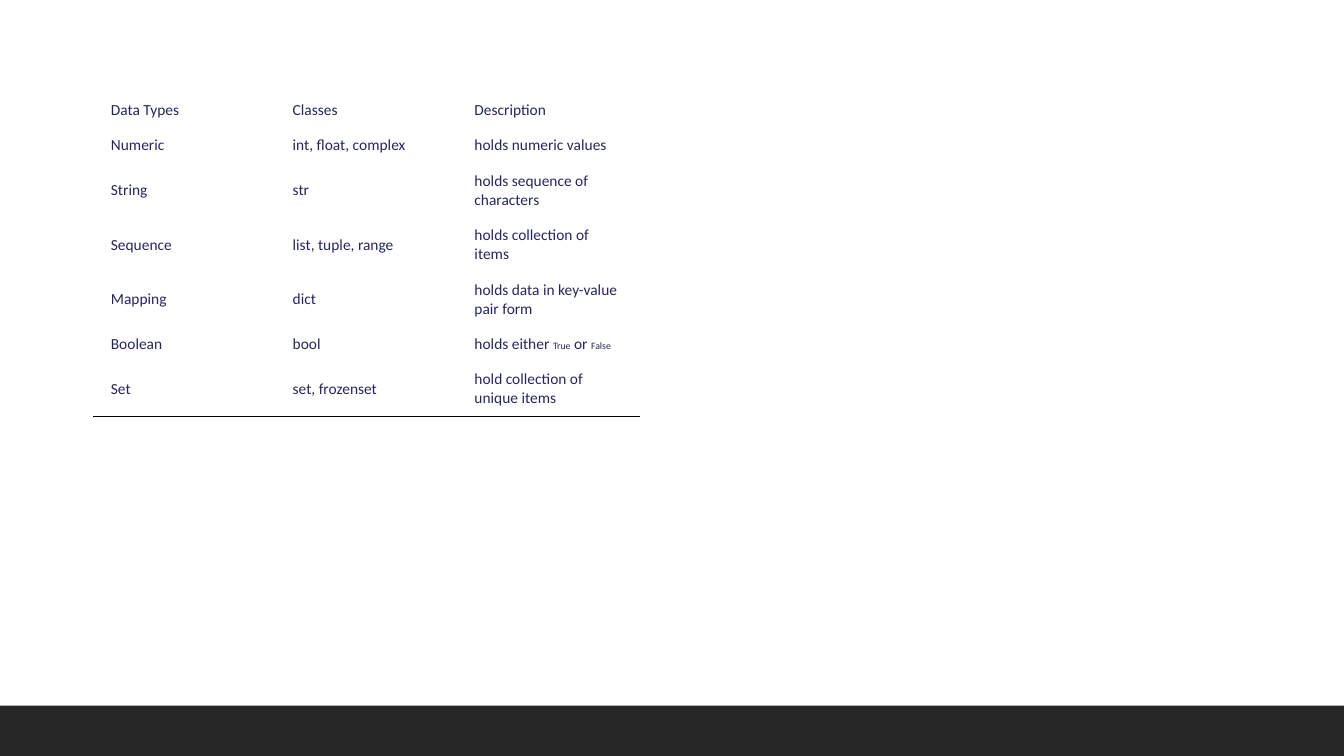
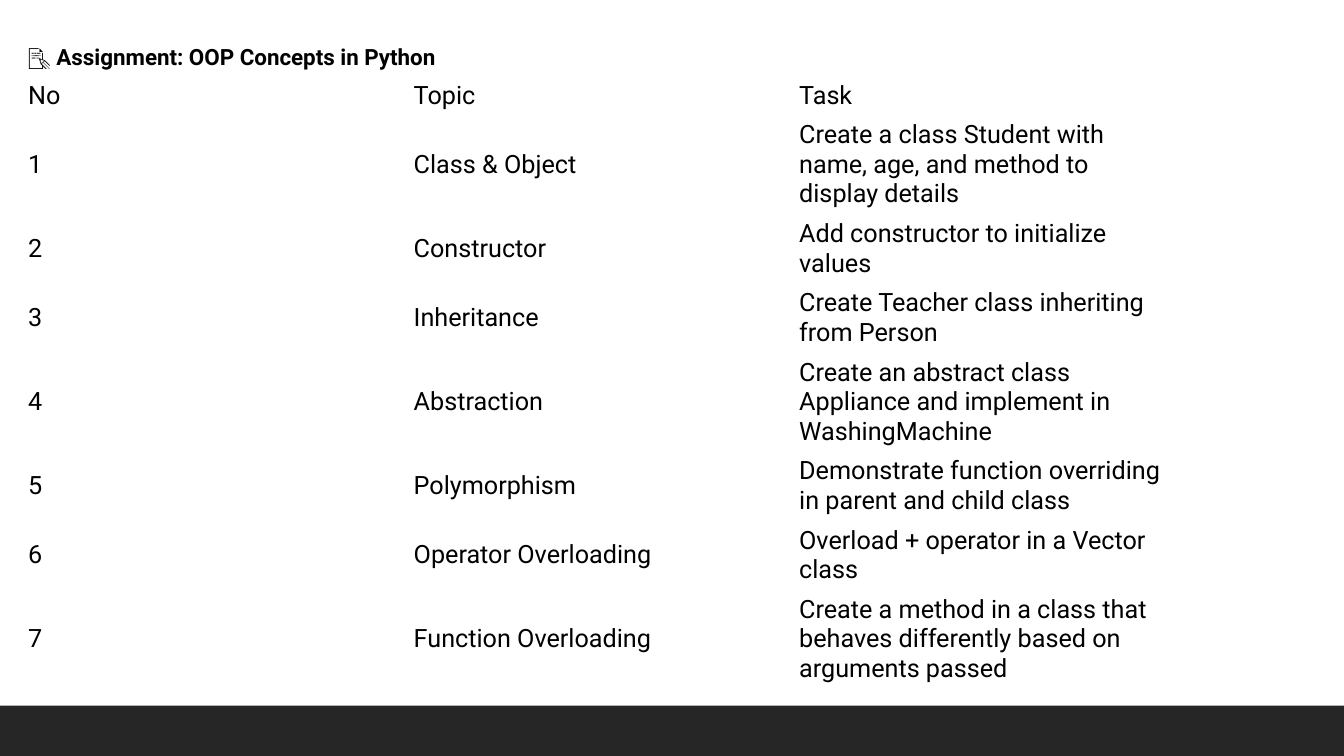
from lxml import etree
from pptx import Presentation
from pptx.dml.color import RGBColor
from pptx.enum import shapes, text
from pptx.oxml import ns
from pptx.util import Inches, Pt

WHITE = RGBColor(0xFF, 0xFF, 0xFF)
BLACK = RGBColor(0x00, 0x00, 0x00)
CHARCOAL = RGBColor(0x26, 0x26, 0x26)
NAVY = RGBColor(0x25, 0x26, 0x5E)

WIDTH, HEIGHT, BAND = 13.33, 7.5, 0.5

# Each row: cells, then the number of lines it takes. Backticks mark code.
DATA_TYPES = [
    (("Data Types", "Classes", "Description"), 1),
    (("Numeric", "int, float, complex", "holds numeric values"), 1),
    (("String", "str", "holds sequence of characters"), 2),
    (("Sequence", "list, tuple, range", "holds collection of items"), 2),
    (("Mapping", "dict", "holds data in key-value pair form"), 2),
    (("Boolean", "bool", "holds either `True` or `False`"), 1),
    (("Set", "set, frozenset", "hold collection of unique items"), 2),
]
ASSIGNMENT = "📝 Assignment: OOP Concepts in Python"
TASKS = [
    (("No", "Topic", "Task"), 1),
    (("1", "Class & Object",
      "Create a class Student with name, age, and method to display details"), 3),
    (("2", "Constructor", "Add constructor to initialize values"), 2),
    (("3", "Inheritance", "Create Teacher class inheriting from Person"), 2),
    (("4", "Abstraction",
      "Create an abstract class Appliance and implement in WashingMachine"), 3),
    (("5", "Polymorphism",
      "Demonstrate function overriding in parent and child class"), 2),
    (("6", "Operator Overloading", "Overload + operator in a Vector class"), 2),
    (("7", "Function Overloading",
      "Create a method in a class that behaves differently based on arguments passed"), 3),
]
DATA_STYLE = dict(font="Calibri", size=11, code_size=7, color=NAVY,
                  line=0.19, pad_x=0.17, pad_y=0.08)
TASK_STYLE = dict(font="Roboto", size=18, code_size=18, color=BLACK,
                  line=0.29, pad_x=0.1, pad_y=0.05)


def style_run(r, font, size, color, bold=False):
    r.font.name, r.font.size, r.font.bold = font, Pt(size), bold
    r.font.color.rgb = color


def add_master_band(prs, s):
    """Draw the footer band on s, then move it to the master all slides share."""
    band = s.shapes.add_shape(shapes.MSO_SHAPE.RECTANGLE, 0, Inches(HEIGHT - BAND),
                              prs.slide_width, Inches(BAND))
    band.shadow.inherit = False
    band.fill.solid()
    band.fill.fore_color.rgb = CHARCOAL
    band.line.fill.background()
    prs.slide_master.shapes.element.insert(2, band.element)


def fill_cell(cell, content, style):
    cell.fill.background()
    cell.vertical_anchor = text.MSO_ANCHOR.MIDDLE
    cell.margin_left = cell.margin_right = Inches(style["pad_x"])
    cell.margin_top = cell.margin_bottom = Inches(style["pad_y"])
    p = cell.text_frame.paragraphs[0]
    for i, part in enumerate(content.split("`")):
        if part:
            r = p.add_run()
            r.text = part
            size = style["code_size"] if i % 2 else style["size"]
            style_run(r, style["font"], size, style["color"])


def add_bottom_border(cell, color, points):
    tc_pr = cell._tc.get_or_add_tcPr()
    ln = etree.Element(ns.qn("a:lnB"), w=str(Pt(points)))
    fill = etree.SubElement(ln, ns.qn("a:solidFill"))
    etree.SubElement(fill, ns.qn("a:srgbClr"), val=str(color))
    tc_pr.insert(0, ln)


def add_text_table(s, rows, left, top, width, style):
    heights = [n * style["line"] + 2 * style["pad_y"] for _, n in rows]
    table = s.shapes.add_table(len(rows), len(rows[0][0]), Inches(left), Inches(top),
                               Inches(width), Inches(sum(heights))).table
    table.horz_banding = False
    for row, height, (cells, _) in zip(table.rows, heights, rows):
        row.height = Inches(height)
        for cell, content in zip(row.cells, cells):
            fill_cell(cell, content, style)
    return table


def add_data_types(prs):
    s = prs.slides.add_slide(prs.slide_layouts[6])
    table = add_text_table(s, DATA_TYPES, 0.93, 0.92, 5.41, DATA_STYLE)
    for cell in table.rows[len(DATA_TYPES) - 1].cells:
        add_bottom_border(cell, BLACK, 0.75)
    return s


def add_assignment(prs):
    s = prs.slides.add_slide(prs.slide_layouts[5])
    title = s.shapes.title
    title.left, title.top, title.width, title.height = map(Inches, (0.18, 0.38, 5.56, 0.37))
    tf = title.text_frame
    tf.text = ASSIGNMENT
    tf.auto_size = text.MSO_AUTO_SIZE.NONE
    tf.vertical_anchor = text.MSO_ANCHOR.MIDDLE
    p = tf.paragraphs[0]
    p.alignment = text.PP_ALIGN.LEFT
    style_run(p.runs[0], "Roboto", 16, BLACK, bold=True)
    add_text_table(s, TASKS, 0.18, 0.75, 11.47, TASK_STYLE)


def main():
    prs = Presentation()
    prs.slide_width, prs.slide_height = Inches(WIDTH), Inches(HEIGHT)
    background = prs.slide_master.background.fill
    background.solid()
    background.fore_color.rgb = WHITE
    add_master_band(prs, add_data_types(prs))
    add_assignment(prs)
    prs.save("out.pptx")


if __name__ == "__main__":
    main()
